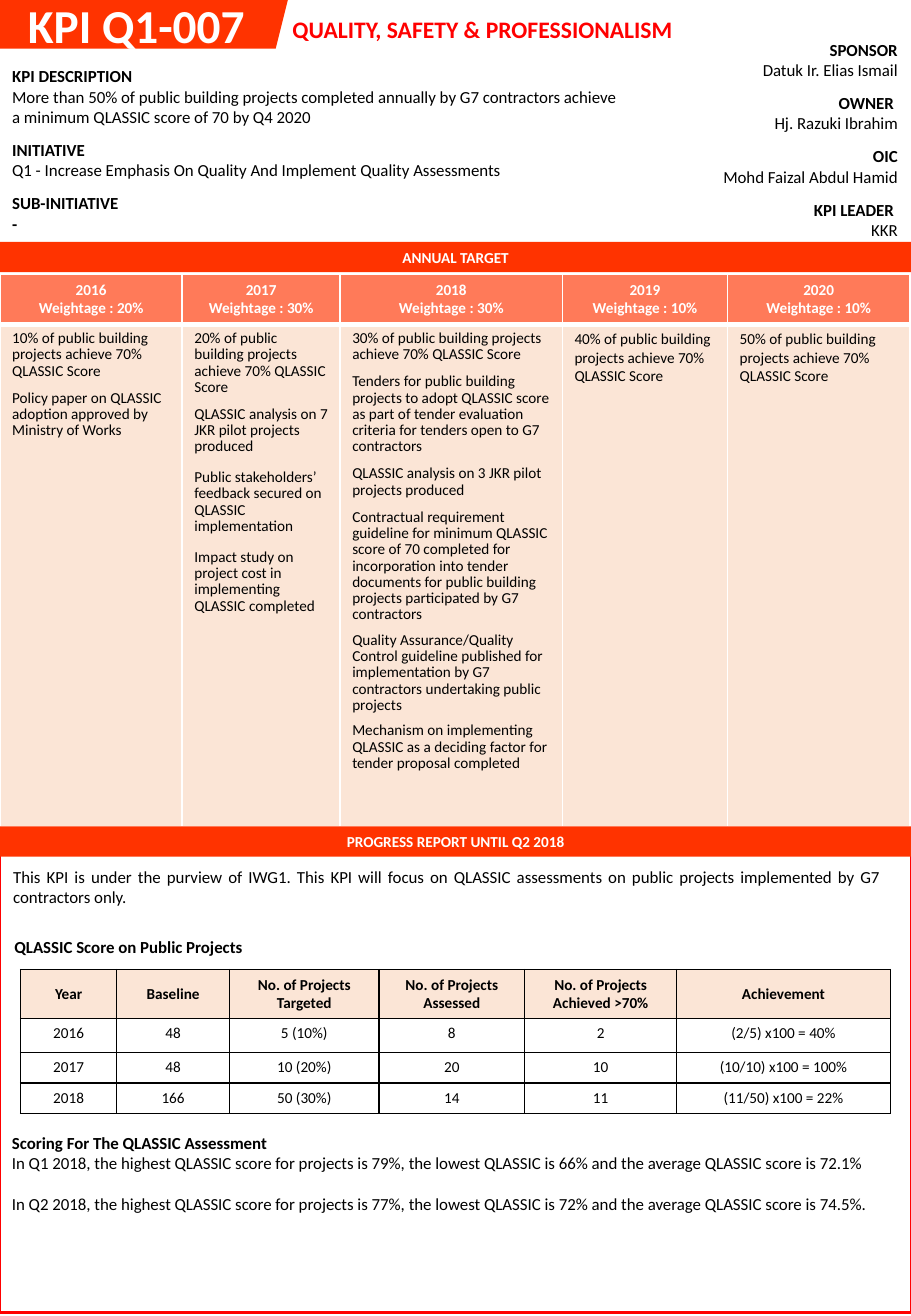
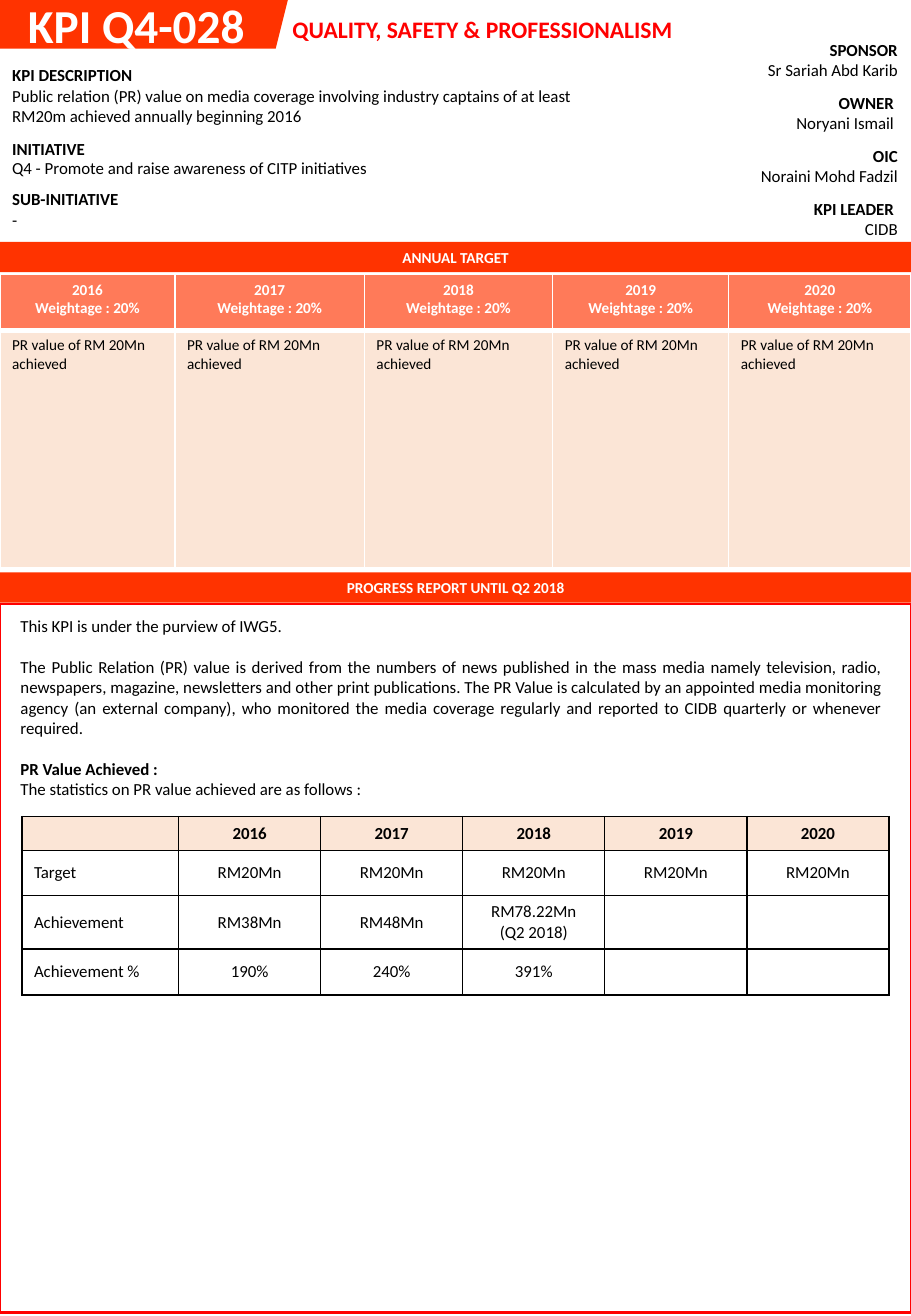
from dataclasses import dataclass
from typing import Optional

from lxml import etree
from pptx import Presentation
from pptx.dml.color import RGBColor
from pptx.enum import shapes, text
from pptx.oxml import ns
from pptx.util import Inches, Pt

ORANGE = RGBColor(0xFF, 0x33, 0x00)
RED = RGBColor(0xFF, 0x00, 0x00)
PEACH = RGBColor(0xFB, 0xE5, 0xD6)
WHITE = RGBColor(0xFF, 0xFF, 0xFF)
BLACK = RGBColor(0x00, 0x00, 0x00)

FONT = "Calibri"
WIDTH, HEIGHT = 7.5, 10.83
FRAME_BOTTOM = 10.8
BAND_HEIGHT = 0.25
BLANK_LINE = 12.2
YEARS = ("2016", "2017", "2018", "2019", "2020")

LEFT, CENTER = text.PP_ALIGN.LEFT, text.PP_ALIGN.CENTER
RIGHT, JUSTIFY = text.PP_ALIGN.RIGHT, text.PP_ALIGN.JUSTIFY
TOP, MIDDLE = text.MSO_ANCHOR.TOP, text.MSO_ANCHOR.MIDDLE


@dataclass
class Line:
    text: str
    bold: bool = False
    align: text.PP_ALIGN = LEFT
    before: float = 0
    spacing: float = 1.0


@dataclass
class Grid:
    left: float
    top: float
    columns: list[float]
    rows: list[float]


@dataclass
class Note:
    left: float
    top: float
    width: float
    height: float
    lines: list[Line]


@dataclass
class Scores:
    grid: Grid
    size: float
    anchor: text.MSO_ANCHOR
    first_align: text.PP_ALIGN
    cells: list[tuple[str, ...]]


@dataclass
class Kpi:
    code: str
    details_grid: Grid
    details: list[list[Line]]
    people_grid: Grid
    people: list[tuple[str, str]]
    targets_grid: Grid
    weights: list[int]
    targets: list[list[Line]]
    progress_top: float
    frame_top: float
    notes: list[Note]
    scores: Scores


def write(frame, lines: list[Line], size: float, color: RGBColor = BLACK) -> None:
    """Fill a text frame with one paragraph per line."""
    frame.word_wrap = True
    for index, line in enumerate(lines):
        paragraph = frame.paragraphs[0] if index == 0 else frame.add_paragraph()
        paragraph.text = line.text
        paragraph.alignment = line.align
        paragraph.line_spacing = line.spacing
        paragraph.space_before = Pt(line.before)
        font = paragraph.font
        font.name, font.size, font.bold = FONT, Pt(size), line.bold
        font.color.rgb = color


def add_text(slide, note: Note, size: float = 10, color: RGBColor = BLACK) -> None:
    box = slide.shapes.add_textbox(Inches(note.left), Inches(note.top),
                                   Inches(note.width), Inches(note.height))
    write(box.text_frame, note.lines, size, color)


def add_box(slide, kind, left: float, top: float, width: float, height: float,
            fill: Optional[RGBColor] = ORANGE):
    shape = slide.shapes.add_shape(kind, Inches(left), Inches(top),
                                   Inches(width), Inches(height))
    shape.shadow.inherit = False
    if fill is None:
        shape.fill.background()
        shape.line.color.rgb = RED
        shape.line.width = Pt(1.5)
    else:
        shape.fill.solid()
        shape.fill.fore_color.rgb = fill
        shape.line.fill.background()
    return shape


def add_band(slide, top: float, label: str) -> None:
    band = add_box(slide, shapes.MSO_SHAPE.RECTANGLE, 0, top, WIDTH, BAND_HEIGHT)
    band.text_frame.vertical_anchor = MIDDLE
    write(band.text_frame, [Line(label, True, CENTER)], 9, WHITE)


def add_grid(slide, grid: Grid):
    frame = slide.shapes.add_table(
        len(grid.rows), len(grid.columns), Inches(grid.left), Inches(grid.top),
        Inches(sum(grid.columns)), Inches(sum(grid.rows)))
    table = frame.table
    table.first_row = table.horz_banding = False
    for column, width in zip(table.columns, grid.columns):
        column.width = Inches(width)
    for row, height in zip(table.rows, grid.rows):
        row.height = Inches(height)
    return table


def set_borders(cell, color: RGBColor, top: float = 1, bottom: float = 1) -> None:
    properties = cell._tc.get_or_add_tcPr()
    for side, width in (("L", 1), ("R", 1), ("T", top), ("B", bottom)):
        border = etree.SubElement(properties, ns.qn(f"a:ln{side}"), w=str(Pt(width)))
        fill = etree.SubElement(border, ns.qn("a:solidFill"))
        etree.SubElement(fill, ns.qn("a:srgbClr"), val=str(color))


def fill_cell(cell, lines: list[Line], size: float, fill: Optional[RGBColor] = None,
              color: RGBColor = BLACK, anchor: text.MSO_ANCHOR = TOP) -> None:
    if fill is None:
        cell.fill.background()
    else:
        cell.fill.solid()
        cell.fill.fore_color.rgb = fill
    cell.vertical_anchor = anchor
    write(cell.text_frame, lines, size, color)


def add_list(slide, grid: Grid, entries: list[list[Line]]) -> None:
    """One-column list of labelled entries."""
    table = add_grid(slide, grid)
    for row, lines in enumerate(entries):
        fill_cell(table.cell(row, 0), lines, 10)


def add_targets(slide, kpi: Kpi) -> None:
    table = add_grid(slide, kpi.targets_grid)
    for column, (year, weight, lines) in enumerate(zip(YEARS, kpi.weights, kpi.targets)):
        header, body = table.cell(0, column), table.cell(1, column)
        set_borders(header, WHITE, bottom=3)
        heading = [Line(year, True, CENTER), Line(f"Weightage : {weight}%", True, CENTER)]
        fill_cell(header, heading, 9, ORANGE, WHITE)
        tint = header._tc.tcPr.find(f"{ns.qn('a:solidFill')}/{ns.qn('a:srgbClr')}")
        etree.SubElement(tint, ns.qn("a:alpha"), val="65000")
        set_borders(body, WHITE, top=3)
        fill_cell(body, lines, 9, PEACH)


def add_scores(slide, scores: Scores) -> None:
    table = add_grid(slide, scores.grid)
    for row, values in enumerate(scores.cells):
        for column, value in enumerate(values):
            head = row == 0
            align = scores.first_align if column == 0 else CENTER
            lines = [Line(part, head, align) for part in value.split("\n")]
            cell = table.cell(row, column)
            set_borders(cell, BLACK)
            fill_cell(cell, lines, scores.size, PEACH if head else None,
                      anchor=MIDDLE if head else scores.anchor)


def add_kpi_slide(presentation, kpi: Kpi) -> None:
    slide = presentation.slides.add_slide(presentation.slide_layouts[5])

    # Title on its slanted tab
    title = slide.shapes.title
    title.left, title.top = Inches(0.13), Inches(-0.08)
    title.width, title.height = Inches(2.61), Inches(0.57)
    title.text_frame.auto_size = text.MSO_AUTO_SIZE.NONE
    title.text_frame.vertical_anchor = TOP
    write(title.text_frame, [Line(kpi.code, True)], 28, WHITE)
    tab = add_box(slide, shapes.MSO_SHAPE.PARALLELOGRAM, -0.17, 0, 2.54, 0.4)
    title.element.addprevious(tab.element)

    # Header details
    add_list(slide, kpi.people_grid,
             [[Line(role, True, RIGHT), Line(name, False, RIGHT)] for role, name in kpi.people])
    add_list(slide, kpi.details_grid, kpi.details)
    theme = Line("QUALITY, SAFETY & PROFESSIONALISM", True)
    add_text(slide, Note(2.31, 0.07, 3.46, 0.34, [theme]), 14, RED)

    # Annual targets
    add_targets(slide, kpi)
    add_band(slide, 1.99, "ANNUAL TARGET")

    # Progress report
    add_box(slide, shapes.MSO_SHAPE.RECTANGLE, 0, kpi.frame_top, WIDTH,
            FRAME_BOTTOM - kpi.frame_top, None)
    add_band(slide, kpi.progress_top, "PROGRESS REPORT UNTIL Q2 2018")
    for note in kpi.notes:
        add_text(slide, note)
    add_scores(slide, kpi.scores)


def entry(label: str, value: str, bold: bool = False, spacing: float = 1.0) -> list[Line]:
    return [Line(label, True), Line(value, bold, spacing=spacing)]


def tight(*items: tuple[float, str]) -> list[Line]:
    """Closely set targets, each with the gap above it."""
    return [Line(item, before=gap, spacing=0.88) for gap, item in items]


QUALITY_SCORE = Kpi(
    code="KPI Q1-007",
    details_grid=Grid(0, 0.5, [5.22], [0.6, 0.44, 0.44]),
    details=[
        entry("KPI DESCRIPTION", "More than 50% of public building projects completed annually "
              "by G7 contractors achieve a minimum QLASSIC score of 70 by Q4 2020"),
        entry("INITIATIVE", "Q1 - Increase Emphasis On Quality And Implement Quality Assessments"),
        entry("SUB-INITIATIVE", "-", bold=True)],
    people_grid=Grid(5.21, 0.28, [2.28], [0.44] * 4),
    people=[("SPONSOR", "Datuk Ir. Elias Ismail"), ("OWNER ", "Hj. Razuki Ibrahim"),
            ("OIC", "Mohd Faizal Abdul Hamid"), ("KPI LEADER ", "KKR")],
    targets_grid=Grid(0, 2.26, [1.5, 1.3, 1.83, 1.36, 1.5], [0.41, 4.13]),
    weights=[20, 30, 30, 10, 10],
    targets=[
        tight((0, "10% of public building projects achieve 70% QLASSIC Score"),
              (6.4, "Policy paper on QLASSIC adoption approved by Ministry of Works")),
        tight((0, "20% of public building projects achieve 70% QLASSIC Score"),
              (6.4, "QLASSIC analysis on 7 JKR pilot projects produced"),
              (8.6, "Public stakeholders’ feedback secured on QLASSIC implementation"),
              (8.6, "Impact study on project cost in implementing QLASSIC completed")),
        tight((0, "30% of public building projects achieve 70% QLASSIC Score"),
              (6.4, "Tenders for public building projects to adopt QLASSIC score as part of "
                    "tender evaluation criteria for tenders open to G7 contractors"),
              (6.4, "QLASSIC analysis on 3 JKR pilot projects produced"),
              (6.4, "Contractual requirement guideline for minimum QLASSIC score of 70 "
                    "completed for incorporation into tender documents for public building "
                    "projects participated by G7 contractors"),
              (5.4, "Quality Assurance/Quality Control guideline published for "
                    "implementation by G7 contractors undertaking public projects"),
              (5.4, "Mechanism on implementing QLASSIC as a deciding factor for tender "
                    "proposal completed")),
        [Line("40% of public building projects achieve 70% QLASSIC Score")],
        [Line("50% of public building projects achieve 70% QLASSIC Score")]],
    progress_top=6.8,
    frame_top=6.85,
    notes=[
        Note(0.01, 7.08, 7.33, 0.86, [
            Line("This KPI is under the purview of IWG1. This KPI will focus on QLASSIC "
                 "assessments on public projects implemented by G7 contractors only.",
                 align=JUSTIFY)]),
        Note(0.02, 7.66, 2.11, 0.27, [Line("QLASSIC Score on Public Projects", True)]),
        Note(0, 9.27, 7.34, 1.11, [
            Line("Scoring For The QLASSIC Assessment", True),
            Line("In Q1 2018, the highest QLASSIC score for projects is 79%, the lowest QLASSIC "
                 "is 66% and the average QLASSIC score is 72.1%", align=JUSTIFY),
            Line("In Q2 2018, the highest QLASSIC score for projects is 77%, the lowest QLASSIC "
                 "is 72% and the average QLASSIC score is 74.5%.", False, JUSTIFY, BLANK_LINE)])],
    scores=Scores(
        Grid(0.17, 7.98, [0.79, 0.93, 1.23, 1.2, 1.25, 1.76], [0.4, 0.28, 0.25, 0.25]),
        9, TOP, CENTER,
        [("Year", "Baseline", "No. of Projects Targeted", "No. of Projects Assessed",
          "No. of Projects Achieved >70%", "Achievement"),
         ("2016", "48", "5 (10%)", "8", "2", "(2/5) x100 = 40%"),
         ("2017", "48", "10 (20%)", "20", "10", "(10/10) x100 = 100%"),
         ("2018", "166", "50 (30%)", "14", "11", "(11/50) x100 = 22%")]))

MEDIA_VALUE = Kpi(
    code="KPI Q4-028",
    details_grid=Grid(0, 0.49, [4.81], [0.6, 0.41, 0.43]),
    details=[
        entry("KPI DESCRIPTION", "Public relation (PR) value on media coverage involving industry "
              "captains of at least RM20m achieved annually beginning 2016"),
        entry("INITIATIVE", "Q4 - Promote and raise awareness of CITP initiatives", spacing=0.88),
        entry("SUB-INITIATIVE", "-")],
    people_grid=Grid(5.05, 0.28, [2.44], [0.43] * 4),
    people=[("SPONSOR", "Sr Sariah Abd Karib"), ("OWNER ", "Noryani Ismail "),
            ("OIC", "Noraini Mohd Fadzil"), ("KPI LEADER ", "CIDB")],
    targets_grid=Grid(0, 2.26, [1.44, 1.56, 1.55, 1.45, 1.5], [0.46, 1.95]),
    weights=[20] * 5,
    targets=[[Line("PR value of RM 20Mn achieved")]] * 5,
    progress_top=4.71,
    frame_top=4.97,
    notes=[Note(0.07, 5.02, 7.28, 3.3, [
        Line("This KPI is under the purview of IWG5."),
        Line("The Public Relation (PR) value is derived from the numbers of news published in "
             "the mass media namely television, radio, newspapers, magazine, newsletters and "
             "other print publications. The PR Value is calculated by an appointed media "
             "monitoring agency (an external company), who monitored the media coverage "
             "regularly and reported to CIDB quarterly or whenever required.",
             False, JUSTIFY, BLANK_LINE),
        Line("PR Value Achieved :", True, before=BLANK_LINE),
        Line("The statistics on PR value achieved are as follows :")])],
    scores=Scores(
        Grid(0.18, 6.72, [1.29] + [1.17] * 5, [0.28, 0.37, 0.44, 0.38]),
        10, MIDDLE, LEFT,
        [("", *YEARS),
         ("Target", *["RM20Mn"] * 5),
         ("Achievement", "RM38Mn", "RM48Mn", "RM78.22Mn\n(Q2 2018)", "", ""),
         ("Achievement %", "190%", "240%", "391%", "", "")]))


def main() -> None:
    presentation = Presentation()
    presentation.slide_width, presentation.slide_height = Inches(WIDTH), Inches(HEIGHT)
    for kpi in (QUALITY_SCORE, MEDIA_VALUE):
        add_kpi_slide(presentation, kpi)
    presentation.save("out.pptx")


if __name__ == "__main__":
    main()
